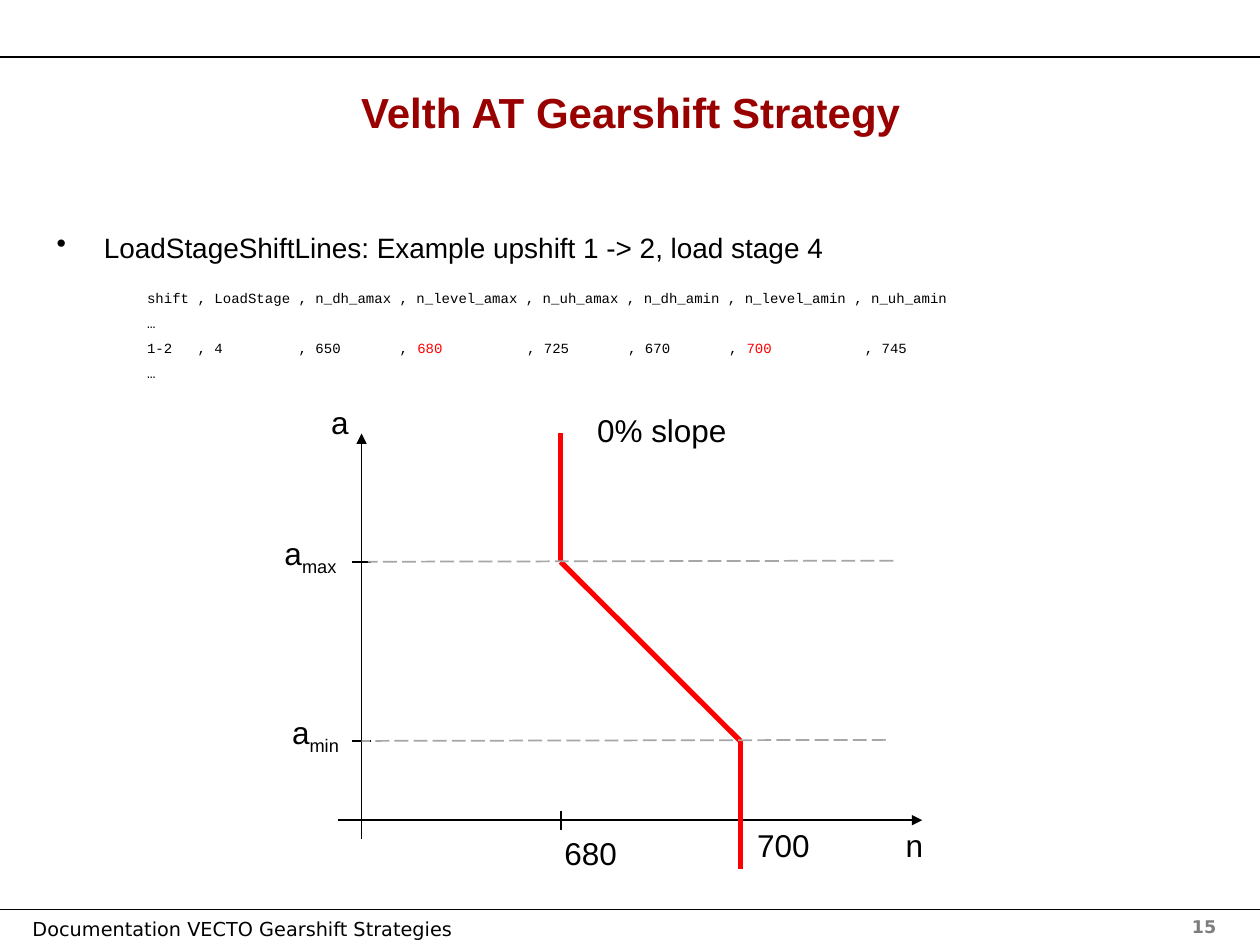
from dataclasses import dataclass

from lxml import etree
from pptx import Presentation
from pptx.dml.color import RGBColor
from pptx.enum.dml import MSO_LINE
from pptx.enum.shapes import MSO_CONNECTOR
from pptx.enum.text import MSO_ANCHOR, MSO_AUTO_SIZE, PP_ALIGN
from pptx.oxml.ns import qn
from pptx.util import Pt

STRAIGHT = MSO_CONNECTOR.STRAIGHT
LONG_DASH = MSO_LINE.LONG_DASH
TOP, MIDDLE = MSO_ANCHOR.TOP, MSO_ANCHOR.MIDDLE
LEFT, CENTER, RIGHT = PP_ALIGN.LEFT, PP_ALIGN.CENTER, PP_ALIGN.RIGHT
GROW, FIXED = MSO_AUTO_SIZE.SHAPE_TO_FIT_TEXT, MSO_AUTO_SIZE.NONE

BLACK, RED, DARK_RED = "000000", "FF0000", "990000"
GREY, LIGHT_GREY = "7D7D7D", "A6A6A6"
SLIDE_WIDTH, SLIDE_HEIGHT = 720, 540

# Diagram coordinates, in points
AXIS_X, AXIS_Y = 206.6, 468.7
N_680, N_700 = 320.4, 423
A_MAX, A_MIN = 321, 423.4
DIAGRAM_TOP, DIAGRAM_BOTTOM = 247.7, 496.8
TICK = 5.4


@dataclass
class Run:
    text: str
    color: str = BLACK
    subscript: bool = False


@dataclass
class TextBox:
    left: float
    top: float
    width: float
    height: float
    paragraphs: list[list[Run]]
    size: float = 18
    font: str = "Arial"
    bold: bool = False
    align: PP_ALIGN = LEFT
    anchor: MSO_ANCHOR = TOP
    wrap: bool = True
    auto_size: MSO_AUTO_SIZE = FIXED
    space_before: float = 0
    bullet_indent: float = 0


@dataclass
class Line:
    start: tuple[float, float]
    end: tuple[float, float]
    color: str = BLACK
    width: float = 1
    arrow: bool = False
    dashed: bool = False


def rgb(color: str) -> RGBColor:
    return RGBColor.from_string(color)


def draw_line(slide, line: Line) -> None:
    points = [Pt(value) for value in (*line.start, *line.end)]
    connector = slide.shapes.add_connector(STRAIGHT, *points)
    connector.line.color.rgb = rgb(line.color)
    connector.line.width = Pt(line.width)
    if line.dashed:
        connector.line.dash_style = LONG_DASH
    if line.arrow:
        outline = connector.line._get_or_add_ln()
        etree.SubElement(outline, qn("a:tailEnd"), type="triangle")
    etree.SubElement(connector._element.spPr, qn("a:effectLst"))


def add_bullet(paragraph, indent: float) -> None:
    properties = paragraph._p.get_or_add_pPr()
    properties.set("marL", str(Pt(indent)))
    properties.set("indent", str(-Pt(indent)))
    etree.SubElement(properties, qn("a:buChar"), char="•")


def draw_text(slide, box: TextBox) -> None:
    place = [Pt(value) for value in (box.left, box.top, box.width, box.height)]
    frame = slide.shapes.add_textbox(*place).text_frame
    frame_format = {"word_wrap": box.wrap, "auto_size": box.auto_size,
                    "vertical_anchor": box.anchor}
    for name, value in frame_format.items():
        setattr(frame, name, value)
    font_format = {"size": Pt(box.size), "name": box.font, "bold": box.bold}
    for index, runs in enumerate(box.paragraphs):
        paragraph = frame.add_paragraph() if index else frame.paragraphs[0]
        paragraph.alignment = box.align
        if index:
            paragraph.space_before = Pt(box.space_before)
        if box.bullet_indent:
            add_bullet(paragraph, box.bullet_indent)
        for part in runs:
            run = paragraph.add_run()
            run.text = part.text
            for name, value in font_format.items():
                setattr(run.font, name, value)
            run.font.color.rgb = rgb(part.color)
            if part.subscript:
                run.font._element.set("baseline", "-25000")


def label(left: float, top: float, width: float, *runs: Run) -> TextBox:
    return TextBox(left, top, width, 29, [list(runs)], wrap=False, auto_size=GROW)


def tick_across(y: float) -> Line:
    return Line((AXIS_X - TICK, y), (AXIS_X + TICK, y))


SHIFT_TABLE = [
    [Run("shift , LoadStage , n_dh_amax , n_level_amax , n_uh_amax , "
         "n_dh_amin , n_level_amin , n_uh_amin")],
    [Run("…")],
    [Run("1-2   , 4         , 650       , "), Run("680          ", RED),
     Run(", 725       , 670       , "), Run("700           ", RED), Run(", 745")],
    [Run("…")],
]

FRAME_LINES = [Line((0, y), (SLIDE_WIDTH, y), width=0.75) for y in (32.6, 519.6)]

TEXTS = [
    # Footer
    TextBox(629.3, 519.8, 72.7, 19.4, [[Run("15", GREY)]], 10, "DejaVu Sans",
            bold=True, align=RIGHT, auto_size=GROW),
    TextBox(11.5, 522, 148.3, 17.3, [[Run("Documentation VECTO Gearshift Strategies")]],
            11, "DejaVu Sans", anchor=MIDDLE, wrap=False),
    # Title and content
    TextBox(36.7, 37.4, 647.3, 53.3, [[Run("Velth AT Gearshift Strategy", DARK_RED)]],
            24, bold=True, align=CENTER, anchor=MIDDLE),
    TextBox(25.2, 128.2, 680.4, 90.7,
            [[Run("LoadStageShiftLines: Example upshift 1 -> 2, load stage 4")]],
            16, bullet_indent=27),
    TextBox(77, 162, 600.5, 60.5, SHIFT_TABLE, 8, "Courier New",
            auto_size=GROW, space_before=4.6),
    # Diagram labels
    label(182.2, 226.8, 24.5, Run("a")),
    label(510.5, 468.7, 24.5, Run("n")),
    label(159.8, 403.9, 43.9, Run("a"), Run("min", subscript=True)),
    label(155.5, 301.7, 47.5, Run("a"), Run("max", subscript=True)),
    label(315.4, 473, 44.6, Run("680")),
    label(334.1, 231.1, 89.3, Run("0% slope")),
    label(425.5, 468.7, 44.6, Run("700")),
]

DIAGRAM_LINES = [
    # Axes and ticks
    Line((193, AXIS_Y), (527, AXIS_Y), arrow=True),
    Line((AXIS_X, 479.5), (AXIS_X, DIAGRAM_TOP), arrow=True),
    tick_across(A_MIN),
    tick_across(A_MAX),
    Line((N_680, AXIS_Y - TICK), (N_680, AXIS_Y + TICK)),
    # Shift line
    Line((N_680, DIAGRAM_TOP), (N_680, A_MAX), RED, 3),
    Line((N_700, A_MIN), (N_700, DIAGRAM_BOTTOM), RED, 3),
    Line((N_700, A_MIN), (N_680, A_MAX), RED, 3),
    # Acceleration levels
    Line((510.5, A_MAX - 0.6), (210.2, A_MAX), LIGHT_GREY, dashed=True),
    Line((506.2, A_MIN - 0.6), (AXIS_X, A_MIN), LIGHT_GREY, dashed=True),
]


def main() -> None:
    presentation = Presentation()
    presentation.slide_width = Pt(SLIDE_WIDTH)
    presentation.slide_height = Pt(SLIDE_HEIGHT)
    slide = presentation.slides.add_slide(presentation.slide_layouts[6])
    for line in FRAME_LINES:
        draw_line(slide, line)
    for box in TEXTS:
        draw_text(slide, box)
    for line in DIAGRAM_LINES:
        draw_line(slide, line)
    presentation.save("out.pptx")


if __name__ == "__main__":
    main()
